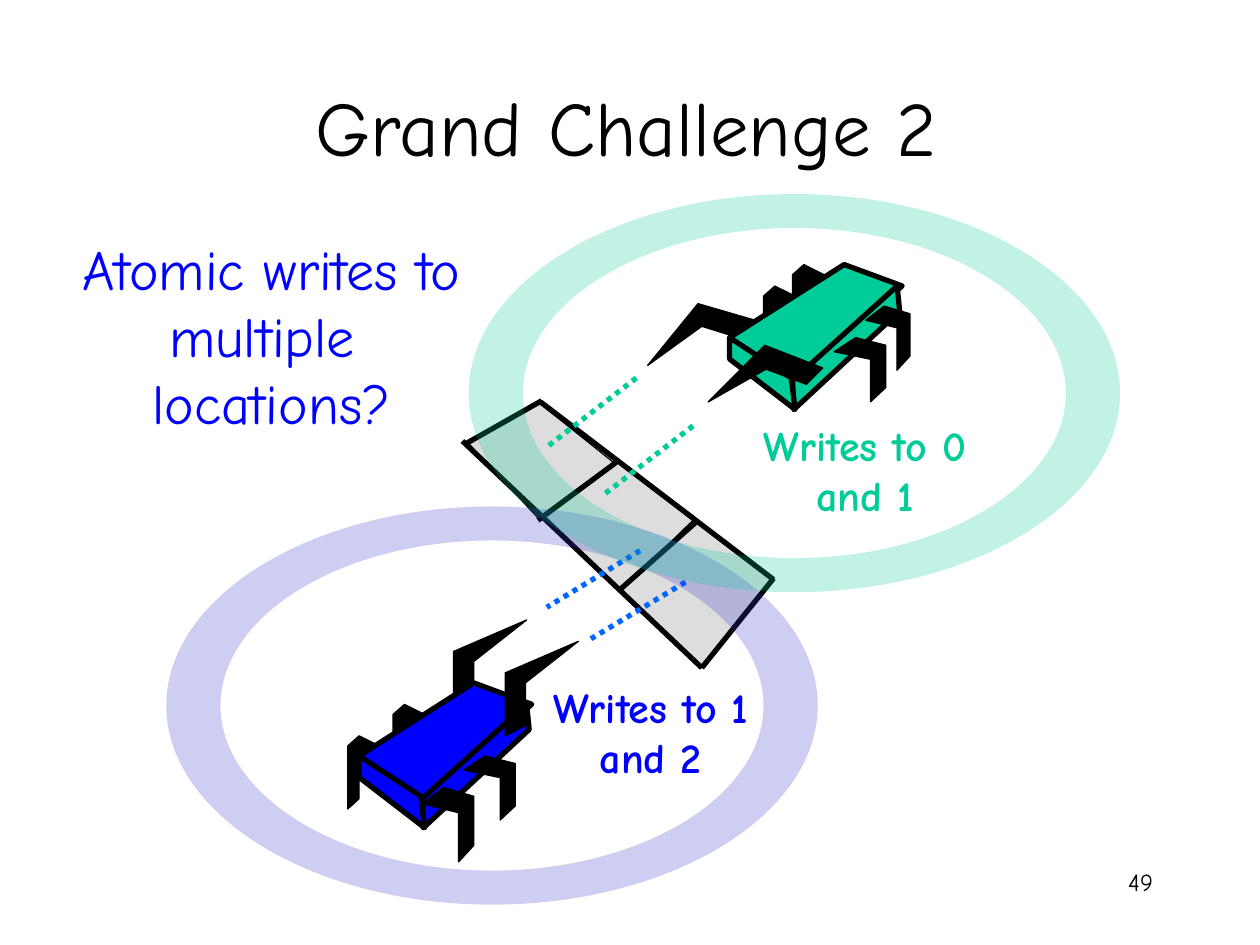
import pptx
import pptx.dml.color
import pptx.enum.dml
import pptx.enum.shapes
import pptx.enum.text
import pptx.oxml.ns
import pptx.util
from lxml import etree

PX = 9144
FONT = "Comic Neue"
BLACK, BLUE, GREEN = "000000", "0000FF", "00CC99"
GRAY, INDIGO, AZURE = "DDDDDD", "3333CC", "0066FF"
CENTER = pptx.enum.text.PP_ALIGN.CENTER
RIGHT = pptx.enum.text.PP_ALIGN.RIGHT

CELLS = [
    [(551, 411), (490, 468), (557, 530), (614, 460)],
    [(429, 408), (492, 470), (552, 411), (489, 365)],
    [(427, 319), (371, 351), (427, 411), (487, 367)],
]
CELL_BORDERS = [
    (367, 350, 557, 530), (429, 319, 614, 460), (370, 352, 430, 318),
    (557, 530, 614, 459), (492, 468, 554, 413), (427, 413, 489, 367),
]
WRITES = [
    (505, 300, 435, 354, GREEN), (550, 338, 480, 392, GREEN),
    (508, 437, 434, 482, AZURE), (544, 462, 469, 507, AZURE),
]
BODY = [
    [(91, 0), (0, 58), (51, 93), (137, 17)],
    [(133, 17), (50, 92), (51, 115), (135, 37)],
    [(0, 58), (0, 75), (52, 115), (49, 90)],
]
REACHING_LEG = [(0, 75), (16, 67), (16, 33), (58, 0), (0, 25)]
BACK_LEG = [(25, 8), (9, 0), (0, 8), (0, 58), (9, 50), (9, 16), (25, 25)]
SIDE_LEG = [(17, 0), (0, 13), (29, 20), (29, 59), (41, 46), (41, 7)]
GREEN_FAR_LEG = [(602, 255), (589, 269), (557, 259), (514, 290), (554, 241)]
GREEN_NEAR_LEG = [(653, 292), (640, 305), (608, 293), (562, 319), (607, 274)]
RING_WIDTH, RING_HEIGHT = 517, 316
ARC = 0.55


def px(value):
    return pptx.util.Emu(round(value * PX))


def color(value):
    return pptx.dml.color.RGBColor.from_string(value)


def add_element(parent, tag, **attributes):
    return etree.SubElement(parent, pptx.oxml.ns.qn(tag), **attributes)


def shift(points, left, top, stretch_x=1, stretch_y=1):
    return [(left + x * stretch_x, top + y * stretch_y) for x, y in points]


def side_leg(left, top, width, height):
    return shift(SIDE_LEG, left, top, width / 42, height / 58)


def add_outline(shapes, points, fill, line_width=0.75):
    start, *others = [(px(x), px(y)) for x, y in points]
    builder = shapes.build_freeform(*start, scale=1.0)
    builder.add_line_segments(others, close=True)
    shape = builder.convert_to_shape()
    shape.shadow.inherit = False
    shape.fill.solid()
    shape.fill.fore_color.rgb = color(fill)
    if line_width:
        shape.line.color.rgb = color(BLACK)
        shape.line.width = pptx.util.Pt(line_width)
    else:
        shape.line.fill.background()
    return shape


def add_spider(slide, body_left, body_top, fill, far_leg, back_legs, side_legs, near_leg):
    group = slide.shapes.add_group_shape()
    add_outline(group.shapes, far_leg, BLACK)
    for left, top in back_legs:
        add_outline(group.shapes, shift(BACK_LEG, left, top), BLACK)
    for face in BODY:
        add_outline(group.shapes, shift(face, body_left, body_top), fill, 3)
    for box in side_legs:
        add_outline(group.shapes, side_leg(*box), BLACK)
    add_outline(group.shapes, near_leg, BLACK)


def add_points(parent, points):
    for x, y in points:
        add_element(parent, "a:pt", x=str(px(x)), y=str(px(y)))


def add_ellipse_contour(outline, radius_x, radius_y, direction):
    unit = [
        (-1, 0), (-1, -ARC), (-ARC, -1), (0, -1), (ARC, -1), (1, -ARC), (1, 0),
        (1, ARC), (ARC, 1), (0, 1), (-ARC, 1), (-1, ARC), (-1, 0),
    ]
    points = shift(unit, RING_WIDTH / 2, RING_HEIGHT / 2, radius_x, radius_y * direction)
    add_points(add_element(outline, "a:moveTo"), points[:1])
    for start in range(1, len(points), 3):
        add_points(add_element(outline, "a:cubicBezTo"), points[start:start + 3])
    add_element(outline, "a:close")


def add_ring(slide, left, top, fill):
    right, bottom = left + RING_WIDTH, top + RING_HEIGHT
    corners = [(left, top), (right, top), (right, bottom), (left, bottom)]
    ring = add_outline(slide.shapes, corners, fill, 0)
    properties = ring._element.spPr
    outline = properties.find(".//" + pptx.oxml.ns.qn("a:path"))
    for segment in list(outline):
        outline.remove(segment)
    add_ellipse_contour(outline, RING_WIDTH / 2, RING_HEIGHT / 2, 1)
    add_ellipse_contour(outline, 215.5, 131, -1)
    fill_color = properties.find(".//" + pptx.oxml.ns.qn("a:srgbClr"))
    add_element(fill_color, "a:alpha", val="24000")


def add_line(slide, x1, y1, x2, y2, line_color=BLACK, dotted=False):
    line = slide.shapes.add_connector(
        pptx.enum.shapes.MSO_CONNECTOR.STRAIGHT, px(x1), px(y1), px(x2), px(y2)
    )
    line.line.color.rgb = color(line_color)
    line.line.width = pptx.util.Pt(3)
    if dotted:
        line.line.dash_style = pptx.enum.dml.MSO_LINE.ROUND_DOT
    add_element(line._element.spPr, "a:effectLst")


def add_text(slide, box, text, size, text_color, align=CENTER, bold=False, middle=False):
    text_frame = slide.shapes.add_textbox(*map(px, box)).text_frame
    text_frame.word_wrap = True
    if middle:
        text_frame.vertical_anchor = pptx.enum.text.MSO_ANCHOR.MIDDLE
    text_frame.text = text
    for paragraph in text_frame.paragraphs:
        paragraph.alignment = align
        for run in paragraph.runs:
            run.font.name = FONT
            run.font.size = pptx.util.Pt(size)
            run.font.bold = bold
            run.font.color.rgb = color(text_color)


def main():
    presentation = pptx.Presentation()
    presentation.slide_width = px(1000)
    presentation.slide_height = px(750)
    slide = presentation.slides.add_slide(presentation.slide_layouts[6])

    add_text(slide, (717, 683, 208, 50), "49", 14, BLACK, align=RIGHT)
    for cell in CELLS:
        add_outline(slide.shapes, cell, GRAY)
    add_text(slide, (72, 37, 850, 125), "Grand Challenge 2", 44, BLACK, middle=True)

    add_spider(
        slide, 285, 542, BLUE,
        far_leg=shift(REACHING_LEG, 360, 492),
        back_legs=[(276, 584), (312, 559)],
        side_legs=[(335, 625, 42, 58), (368, 600, 42, 50)],
        near_leg=shift(REACHING_LEG, 401, 509),
    )
    add_spider(
        slide, 579, 210, GREEN,
        far_leg=GREEN_FAR_LEG,
        back_legs=[(629, 210), (606, 227)],
        side_legs=[(687, 243, 36, 50), (662, 268, 42, 50)],
        near_leg=GREEN_NEAR_LEG,
    )
    add_text(slide, (594, 328, 185, 90), "Writes to 0 and 1", 24, GREEN, bold=True)
    add_text(slide, (424, 536, 185, 90), "Writes to 1 and 2", 24, BLUE, bold=True)

    for border in CELL_BORDERS:
        add_line(slide, *border)
    for write in WRITES:
        add_line(slide, *write, dotted=True)
    add_ring(slide, 132, 402, INDIGO)
    add_ring(slide, 372, 154, GREEN)
    add_text(slide, (24, 181, 383, 172), "Atomic writes to multiple \nlocations?", 32, BLUE)

    presentation.save("out.pptx")


if __name__ == "__main__":
    main()
